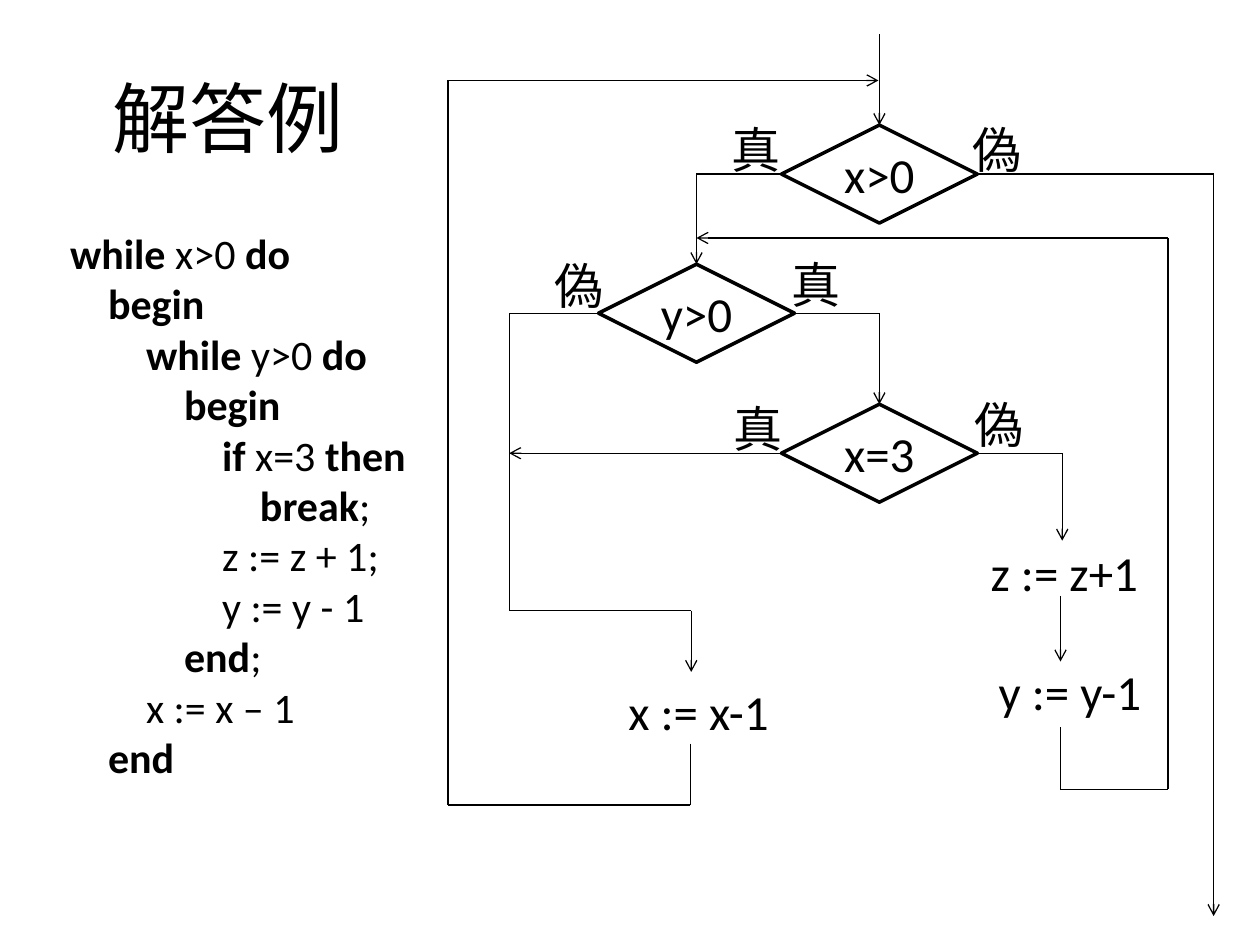
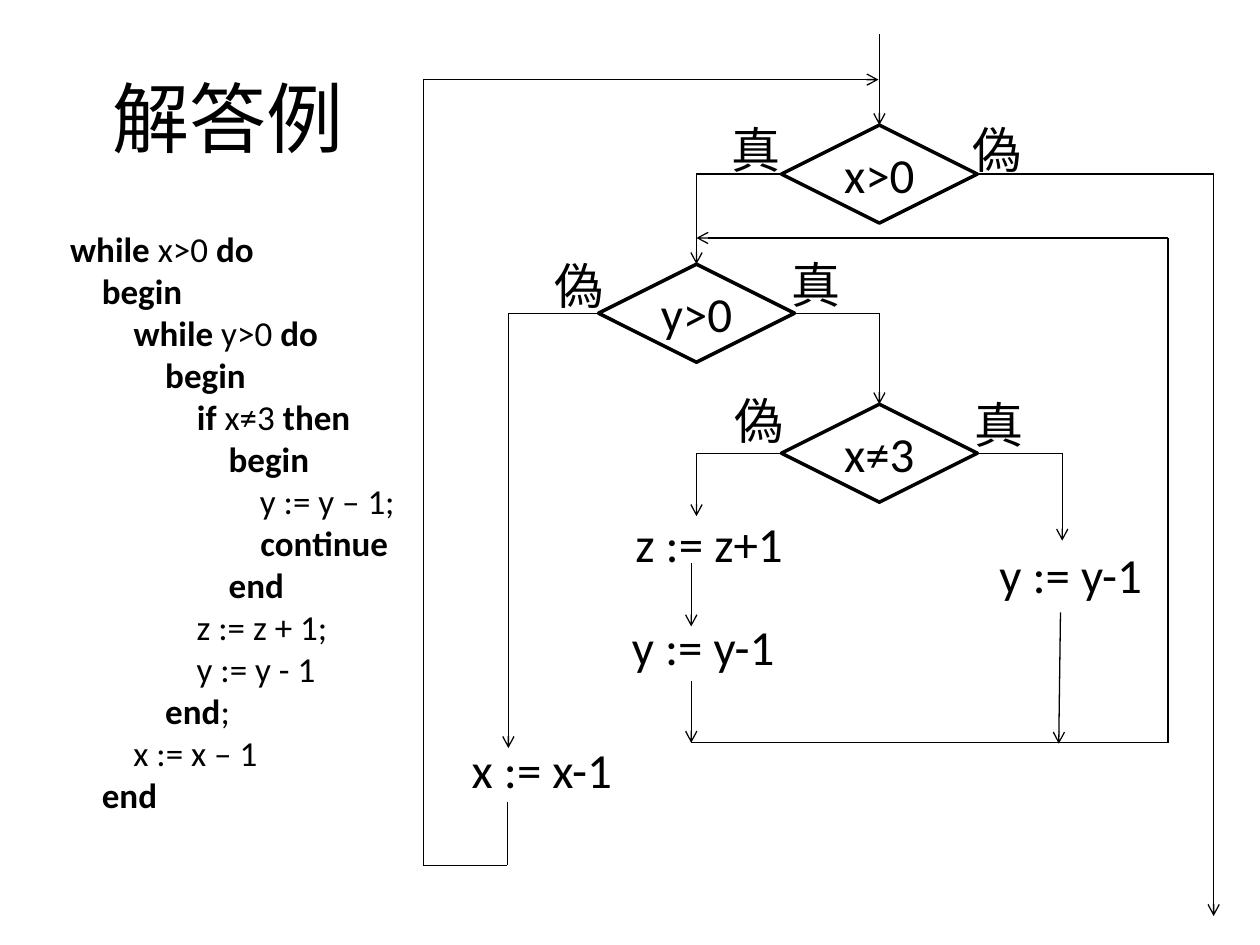
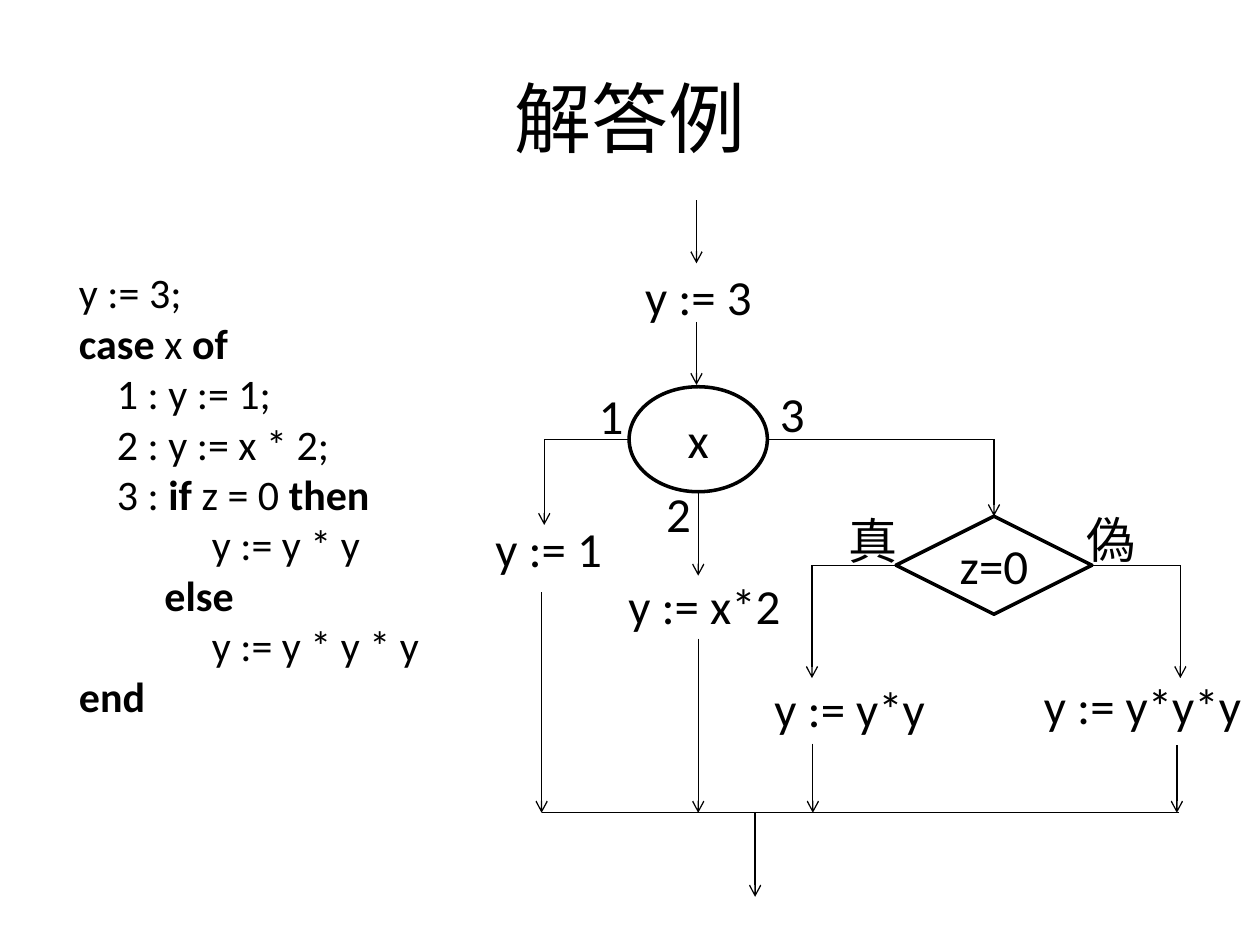
from pptx import Presentation
from pptx.dml.color import RGBColor
from pptx.enum.shapes import MSO_CONNECTOR as Connector, MSO_SHAPE as Shape
from pptx.enum.text import MSO_ANCHOR as Anchor, PP_ALIGN as Align
from pptx.oxml.ns import qn
from pptx.util import Pt
from lxml import etree

COLORS = {"ink": "000000"}
FONT = "Calibri"
INK = RGBColor.from_string(COLORS["ink"])
TOP, LEFT, BOTTOM, RIGHT = range(4)
TRUE, FALSE = "真", "偽"
DIAMOND_SIZE = (112, 56)
LABEL_HEIGHT = 41
BRANCH_WIDTH = 42.5

BREAK_CODE = """\
**while** x>0 **do**
    **begin**
        **while** y>0 **do**
            **begin**
                **if** x=3 **then**
                    **break**;
                z := z + 1;
                y := y - 1
            **end**;
        x := x – 1
    **end**"""

CONTINUE_CODE = """\
**while** x>0 **do**
    **begin**
        **while** y>0 **do**
            **begin**
                **if** x≠3 **then**
                    **begin**
                        y := y – 1;
                        **continue**
                    **end**
                z := z + 1;
                y := y - 1
            **end**;
        x := x – 1
    **end**"""

CASE_CODE = """\
y := 3;
**case** x **of**
    1 : y := 1;
    2 : y := x * 2;
    3 : **if** z = 0 **then**
              y := y * y
         **else**
              y := y * y * y
**end**"""


def write(shape, text, size=28, align=Align.LEFT, anchor=Anchor.TOP, wrap=False):
    """Fill a shape with text, one paragraph a line; **...** marks bold."""
    frame = shape.text_frame
    frame.word_wrap = wrap
    frame.vertical_anchor = anchor
    for number, line in enumerate(text.split("\n")):
        paragraph = frame.add_paragraph() if number else frame.paragraphs[0]
        paragraph.alignment = align
        for position, part in enumerate(line.split("**")):
            if part:
                run = paragraph.add_run()
                run.text = part
                run.font.name = FONT
                run.font.size = Pt(size)
                run.font.bold = position % 2 == 1
                run.font.color.rgb = INK


def add_text(slide, text, left, top, width, height=LABEL_HEIGHT, **style):
    box = slide.shapes.add_textbox(Pt(left), Pt(top), Pt(width), Pt(height))
    write(box, text, **style)


def add_title(slide, width):
    add_text(slide, "解答例", 36, 21.5, width, 90, size=44,
             align=Align.CENTER, anchor=Anchor.MIDDLE, wrap=True)


def add_labels(slide, labels):
    for text, left, top, width in labels:
        add_text(slide, text, left, top, width)


def add_test(slide, text, left, top, size=DIAMOND_SIZE, outline=Shape.DIAMOND):
    test = slide.shapes.add_shape(outline, Pt(left), Pt(top), *map(Pt, size))
    test.shadow.inherit = False
    test.fill.background()
    test.line.color.rgb = INK
    test.line.width = Pt(2)
    write(test, text, align=Align.CENTER, anchor=Anchor.MIDDLE)
    return test


def add_flow(slide, *points, arrow=True, leaves=None, enters=None):
    """Draw straight segments through the points; leaves and enters are
    (test, side) pairs to which the two ends are joined."""
    segments = [
        slide.shapes.add_connector(Connector.STRAIGHT, *map(Pt, start + end))
        for start, end in zip(points, points[1:])
    ]
    for segment in segments:
        segment.line.color.rgb = INK
        segment.line.width = Pt(0.75)
        properties = segment._element.spPr
        etree.SubElement(properties, qn("a:effectLst"))
        if arrow and segment is segments[-1]:
            line = properties.find(qn("a:ln"))
            etree.SubElement(line, qn("a:tailEnd"), type="arrow")
    if leaves:
        segments[0].begin_connect(*leaves)
    if enters:
        segments[-1].end_connect(*enters)


def add_nested_loops(slide, inner_condition):
    """Draw what both loop charts share; return the y and inner tests."""
    add_title(slide, 188.5)
    outer = add_test(slide, "x>0", 446.5, 71.5)
    middle = add_test(slide, "y>0", 342, 151)
    inner = add_test(slide, inner_condition, 446.5, 231)
    add_labels(slide, [
        (TRUE, 411, 65, BRANCH_WIDTH), (FALSE, 548.5, 65, BRANCH_WIDTH),
        (FALSE, 309.5, 142.5, BRANCH_WIDTH), (TRUE, 445, 142, BRANCH_WIDTH),
    ])
    add_flow(slide, (502.5, 19.5), (502.5, 71.5), enters=(outer, TOP))
    add_flow(slide, (558.5, 99.5), (693.5, 99.5), (693.5, 523.5),
             leaves=(outer, RIGHT))
    add_flow(slide, (446.5, 99.5), (398, 99.5), (398, 151),
             leaves=(outer, LEFT), enters=(middle, TOP))
    add_flow(slide, (454, 179), (502.5, 179), (502.5, 231),
             leaves=(middle, RIGHT), enters=(inner, TOP))
    add_flow(slide, (558.5, 259), (607, 259), (607, 309),
             leaves=(inner, RIGHT))
    return middle, inner


def add_inner_return(slide, start_x, start_y, bottom):
    points = [(start_x, bottom), (667.5, bottom), (667.5, 136), (398, 136)]
    if start_y != bottom:
        points.insert(0, (start_x, start_y))
    add_flow(slide, *points)


def add_outer_return(slide, start_x, start_y, bottom, side_x, top):
    add_flow(slide, (start_x, start_y), (start_x, bottom), (side_x, bottom),
             (side_x, top), (502, top))


def build_break_slide(slide):
    middle, inner = add_nested_loops(slide, "x=3")
    add_text(slide, BREAK_CODE, 33, 126.5, 210, 327, size=24, wrap=True)
    add_labels(slide, [
        (TRUE, 412, 224, BRANCH_WIDTH), (FALSE, 549.5, 222, BRANCH_WIDTH),
        ("z := z+1", 559, 306.5, 100), ("y := y-1", 563.5, 374.5, 98),
        ("x := x-1", 352, 386, 97),
    ])
    add_flow(slide, (342, 179), (291, 179), (291, 349), (395, 349), (395, 384),
             leaves=(middle, LEFT))
    add_flow(slide, (446.5, 259), (291, 259), leaves=(inner, LEFT))
    add_flow(slide, (606, 340.5), (606, 378))
    add_inner_return(slide, 606, 415.5, 451)
    add_outer_return(slide, 394.5, 425, 460, 256, 46)


def build_continue_slide(slide):
    middle, inner = add_nested_loops(slide, "x≠3")
    add_text(slide, CONTINUE_CODE, 33, 126.5, 210, 346, size=20, wrap=True)
    add_labels(slide, [
        (FALSE, 412.5, 219.5, BRANCH_WIDTH), (TRUE, 549.5, 222, BRANCH_WIDTH),
        ("z := z+1", 356, 290, 100), ("y := y-1", 354, 348.5, 98),
        ("y := y-1", 564, 307.5, 98), ("x := x-1", 262.5, 419, 97),
    ])
    add_flow(slide, (342, 179), (290.5, 179), (290.5, 427.5),
             leaves=(middle, LEFT))
    add_flow(slide, (446.5, 259), (398, 259), (398, 295), leaves=(inner, LEFT))
    add_flow(slide, (395, 322), (395, 358))
    add_flow(slide, (395, 389), (395, 424.5))
    add_flow(slide, (606, 350), (605, 425))
    add_inner_return(slide, 395, 424.5, 424.5)
    add_outer_return(slide, 290, 458.5, 494.5, 242, 45.5)


def build_case_slide(slide):
    merge_y = 464.5
    add_title(slide, 648)
    add_text(slide, CASE_CODE, 38, 149, 237, 269, size=24, wrap=True)
    add_test(slide, "x", 359.5, 221, (79, 60), Shape.OVAL)
    zero_test = add_test(slide, "z=0", 512, 295)
    add_labels(slide, [
        ("y := 3", 361.5, 148.5, 76), ("y := 1", 276, 293, 76),
        ("y := x*2", 352, 325.5, 109), ("y := y*y", 435.5, 384, 102),
        ("y := y*y*y", 589.5, 382.5, 128),
        ("1", 335, 216.5, 29), ("2", 373.5, 273, 29), ("3", 438.5, 215.5, 29),
        (TRUE, 477.5, 288, BRANCH_WIDTH), (FALSE, 613.5, 287.5, BRANCH_WIDTH),
    ])
    add_flow(slide, (398, 114.5), (398, 150.5))
    add_flow(slide, (398, 184), (398, 220))
    add_flow(slide, (359.5, 251), (311, 251), (311, 300))
    add_flow(slide, (399, 281), (399, 329))
    add_flow(slide, (438.5, 251), (568, 251), (568, 295),
             enters=(zero_test, TOP))
    add_flow(slide, (512, 323), (464, 323), (464, 387.5),
             leaves=(zero_test, LEFT))
    add_flow(slide, (624, 323), (674.5, 323), (674.5, 387.5),
             leaves=(zero_test, RIGHT))
    for branch_x, start_y in [(309.5, 338.5), (399, 365), (464.5, 425), (672.5, 426)]:
        add_flow(slide, (branch_x, start_y), (branch_x, merge_y))
    add_flow(slide, (310, merge_y), (674, merge_y), arrow=False)
    add_flow(slide, (431.5, merge_y), (431.5, 512.5))


def main():
    deck = Presentation()
    deck.slide_width, deck.slide_height = Pt(720), Pt(540)
    blank = deck.slide_layouts[6]
    for build in (build_break_slide, build_continue_slide, build_case_slide):
        build(deck.slides.add_slide(blank))
    deck.save("out.pptx")


if __name__ == "__main__":
    main()
